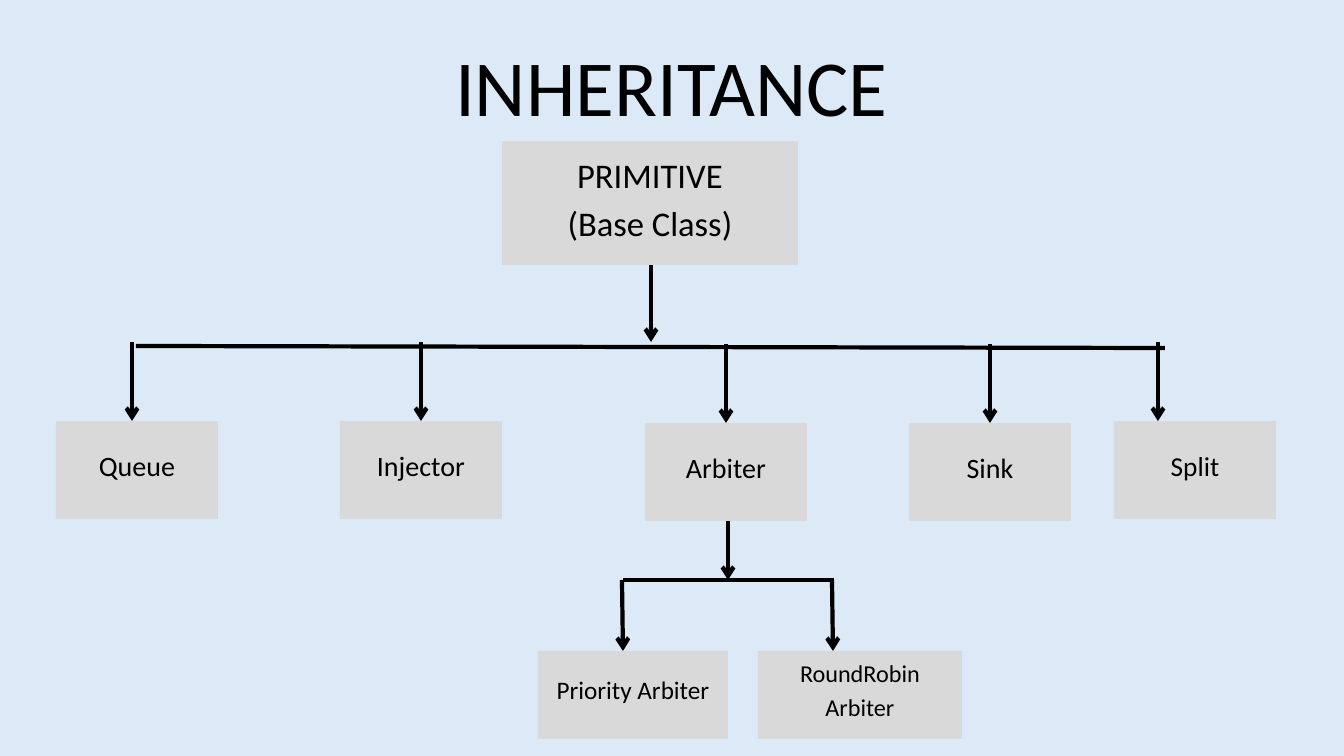
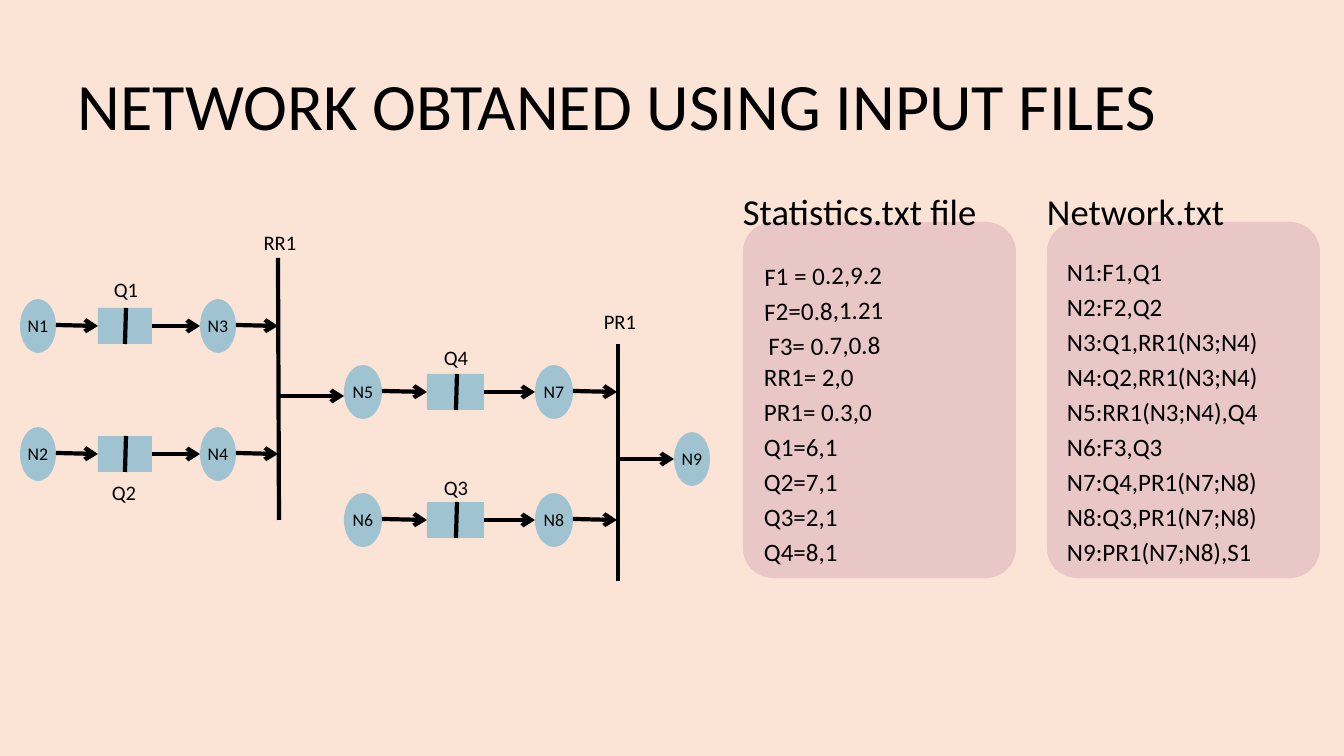
from pptx import Presentation
from pptx import util as u
from pptx.dml.color import RGBColor
from pptx.enum import shapes, text
from pptx.oxml import ns
from lxml import etree

PX = 914400 / 100.8
FONT = "Calibri"
BLACK = RGBColor(0x00, 0x00, 0x00)
SKY = RGBColor(0xDC, 0xEA, 0xF7)
PEACH = RGBColor(0xFB, 0xE3, 0xD6)
GREY = RGBColor(0xD9, 0xD9, 0xD9)
TEAL = RGBColor(0x9F, 0xC3, 0xD0)
ROSE = RGBColor(0xE9, 0xC7, 0xC6)
LEFT, CENTER, JUSTIFY = text.PP_ALIGN.LEFT, text.PP_ALIGN.CENTER, text.PP_ALIGN.JUSTIFY
BOX_W, BOX_H, STEM = 162, 98, 79
NODE_W, NODE_H = 36, 54
LANE_STOPS = (0, 36, 78, 132, 180, 216, 258)

CHILDREN = [
    ("Queue", 56, 421, 132, 20),
    ("Injector", 340, 421, 421, 20),
    ("Arbiter", 645, 423, 726, 20),
    ("Sink", 909, 423, 990, 20),
    ("Split", 1114, 421, 1158, 19.5),
]
LANES = [
    ("N1", "N3", 20, 326, 1),
    ("N2", "N4", 20, 454, 1),
    ("N5", "N7", 344, 392, 1.06),
    ("N6", "N8", 344, 520, 1.06),
]
LABELS = [
    ("Q1", 104, 273),
    ("Q2", 102, 476),
    ("Q3", 434, 471),
    ("Q4", 434, 341),
    ("RR1", 258, 226),
    ("PR1", 598, 305),
]
FLOWS = "F1 = 0.2,9.2\nF2=0.8,1.21\nF3= 0.7,0.8"
SETTINGS = "RR1= 2,0\nPR1= 0.3,0\nQ1=6,1\nQ2=7,1\nQ3=2,1\nQ4=8,1"
NETWORK = (
    "N1:F1,Q1\nN2:F2,Q2\nN3:Q1,RR1(N3;N4)\nN4:Q2,RR1(N3;N4)\n"
    "N5:RR1(N3;N4),Q4\nN6:F3,Q3\nN7:Q4,PR1(N7;N8)\n"
    "N8:Q3,PR1(N7;N8)\nN9:PR1(N7;N8),S1"
)


def px(*lengths):
    return [u.Emu(round(length * PX)) for length in lengths]


def write(shape, words, size, leading, align=CENTER, bottom=0, wrap=True):
    frame = shape.text_frame
    frame.text = words
    frame.word_wrap = wrap
    frame.margin_left = frame.margin_right = frame.margin_top = 0
    frame.margin_bottom = px(bottom)[0]
    for paragraph in frame.paragraphs:
        paragraph.alignment = align
        paragraph.line_spacing = u.Pt(leading)
        for run in paragraph.runs:
            run.font.name = FONT
            run.font.size = u.Pt(size)
            run.font.color.rgb = BLACK


def add_text(slide, words, at, size, leading, align=CENTER, rotation=0):
    box = slide.shapes.add_textbox(*px(*at))
    box.rotation = rotation
    write(box, words, size, leading, align)


def add_block(slide, kind, at, fill):
    block = slide.shapes.add_shape(kind, *px(*at))
    block.shadow.inherit = False
    block.fill.solid()
    block.fill.fore_color.rgb = fill
    block.line.fill.background()
    return block


def add_line(slide, x1, y1, x2, y2, arrow=False):
    line = slide.shapes.add_connector(shapes.MSO_CONNECTOR.STRAIGHT, *px(x1, y1, x2, y2))
    line.line.color.rgb = BLACK
    line.line.width = u.Pt(3)
    properties = line.element.spPr
    if arrow:
        outline = properties.find(ns.qn("a:ln"))
        etree.SubElement(outline, ns.qn("a:tailEnd"), type="arrow")
    etree.SubElement(properties, ns.qn("a:effectLst"))


def add_class(slide, words, at, size, leading):
    block = add_block(slide, shapes.MSO_SHAPE.RECTANGLE, at, GREY)
    block.text_frame.vertical_anchor = text.MSO_ANCHOR.MIDDLE
    write(block, words, size, leading, bottom=16)


def add_node(slide, name, x, y, width=NODE_W):
    node = add_block(slide, shapes.MSO_SHAPE.OVAL, (x, y - NODE_H / 2, width, NODE_H), TEAL)
    node.text_frame.vertical_anchor = text.MSO_ANCHOR.MIDDLE
    write(node, name, 12.7, 17.7, bottom=4, wrap=False)


def add_queue(slide, left, right, y):
    top, bottom = y - 18, y + 18
    add_block(slide, shapes.MSO_SHAPE.RECTANGLE, (left, top, right - left, 36), TEAL)
    middle = round((left + right) / 2)
    add_line(slide, middle + 1, top, middle, bottom)


def add_lane(slide, source, target, x, y, stretch):
    start, source_end, queue, queue_end, sink, sink_end, end = (
        x + round(stop * stretch) for stop in LANE_STOPS
    )
    add_node(slide, source, start, y, source_end - start)
    add_line(slide, source_end, y - 1, queue, y, arrow=True)
    add_queue(slide, queue, queue_end, y)
    add_line(slide, queue_end, y, sink, y, arrow=True)
    add_node(slide, target, sink, y, sink_end - sink)
    add_line(slide, sink_end, y - 1, end, y, arrow=True)


def add_panel(slide, heading, x):
    panel = add_block(slide, shapes.MSO_SHAPE.ROUNDED_RECTANGLE, (x, 222, 273, 356), ROSE)
    panel.adjustments[0] = 0.11
    add_text(slide, heading, (x, 182, 265, 49), 26.1, 36.6, LEFT)


def add_slide(deck, background, title, at, size, leading):
    slide = deck.slides.add_slide(deck.slide_layouts[6])
    slide.background.fill.solid()
    slide.background.fill.fore_color.rgb = background
    add_text(slide, title, at, size, leading)
    return slide


def build_inheritance(deck):
    slide = add_slide(deck, SKY, "INHERITANCE", (187, 21, 969, 107), 56.7, 79.3)
    add_class(slide, "PRIMITIVE\n(Base Class)", (502, 141, 296, 124), 24.7, 34.5)
    add_line(slide, 651, 265, 651, 342, arrow=True)
    add_line(slide, 136, 346, 1165, 348)
    for name, x, y, stem, size in CHILDREN:
        add_line(slide, stem, y - STEM, stem, y, arrow=True)
        add_class(slide, name, (x, y, BOX_W, BOX_H), size, 28)
    add_line(slide, 728, 521, 728, 580, arrow=True)
    add_line(slide, 623, 580, 834, 580)
    for stem in (622, 832):
        add_line(slide, stem, 580, stem + 1, 651, arrow=True)
    add_class(slide, "Priority Arbiter", (538, 651, 190, 88), 18, 25.2)
    add_class(slide, "RoundRobin\nArbiter", (758, 651, 204, 88), 17.3, 24.3)


def build_network(deck):
    slide = add_slide(
        deck, PEACH, "NETWORK OBTANED USING INPUT FILES", (54, 51, 1126, 89), 47.3, 66.3
    )
    for lane in LANES:
        add_lane(slide, *lane)
    add_line(slide, 278, 258, 279, 520)
    add_line(slide, 618, 344, 618, 581)
    add_line(slide, 279, 396, 344, 396, arrow=True)
    add_line(slide, 620, 459, 674, 459, arrow=True)
    add_node(slide, "N9", 674, 459)
    for name, x, y in LABELS:
        add_text(slide, name, (x, y, 44, 28), 14.7, 20.5)
    add_panel(slide, "Statistics.txt file", 743)
    add_text(slide, FLOWS, (750, 255, 148, 139), 17.9, 25, rotation=359)
    add_text(slide, SETTINGS, (764, 357, 132, 244), 17.9, 25, LEFT)
    add_panel(slide, "Network.txt", 1047)
    add_text(slide, NETWORK, (1067, 251, 245, 313), 17.9, 25, JUSTIFY)


def main():
    deck = Presentation()
    deck.slide_width, deck.slide_height = px(1344, 756)
    build_inheritance(deck)
    build_network(deck)
    deck.save("out.pptx")


if __name__ == "__main__":
    main()
